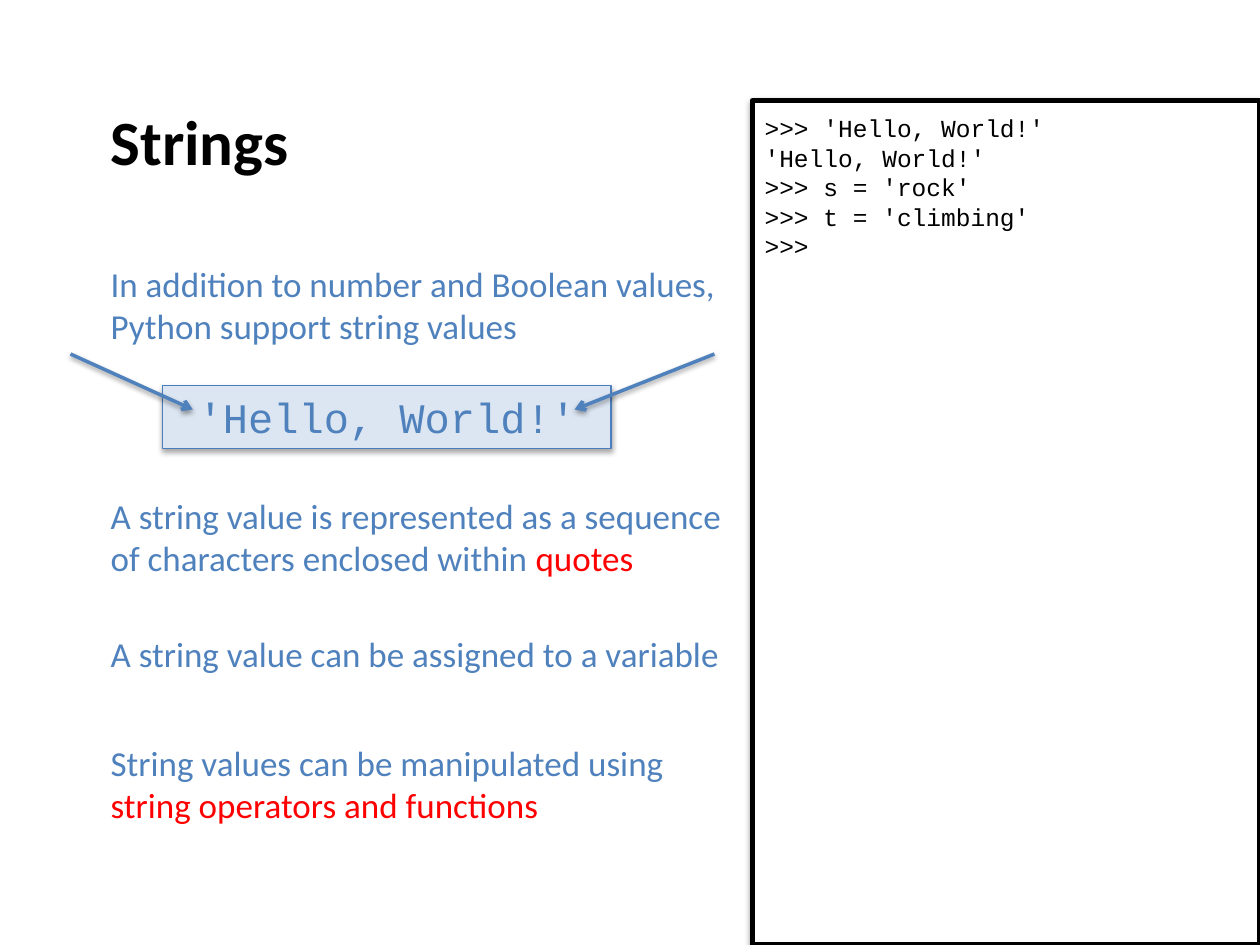
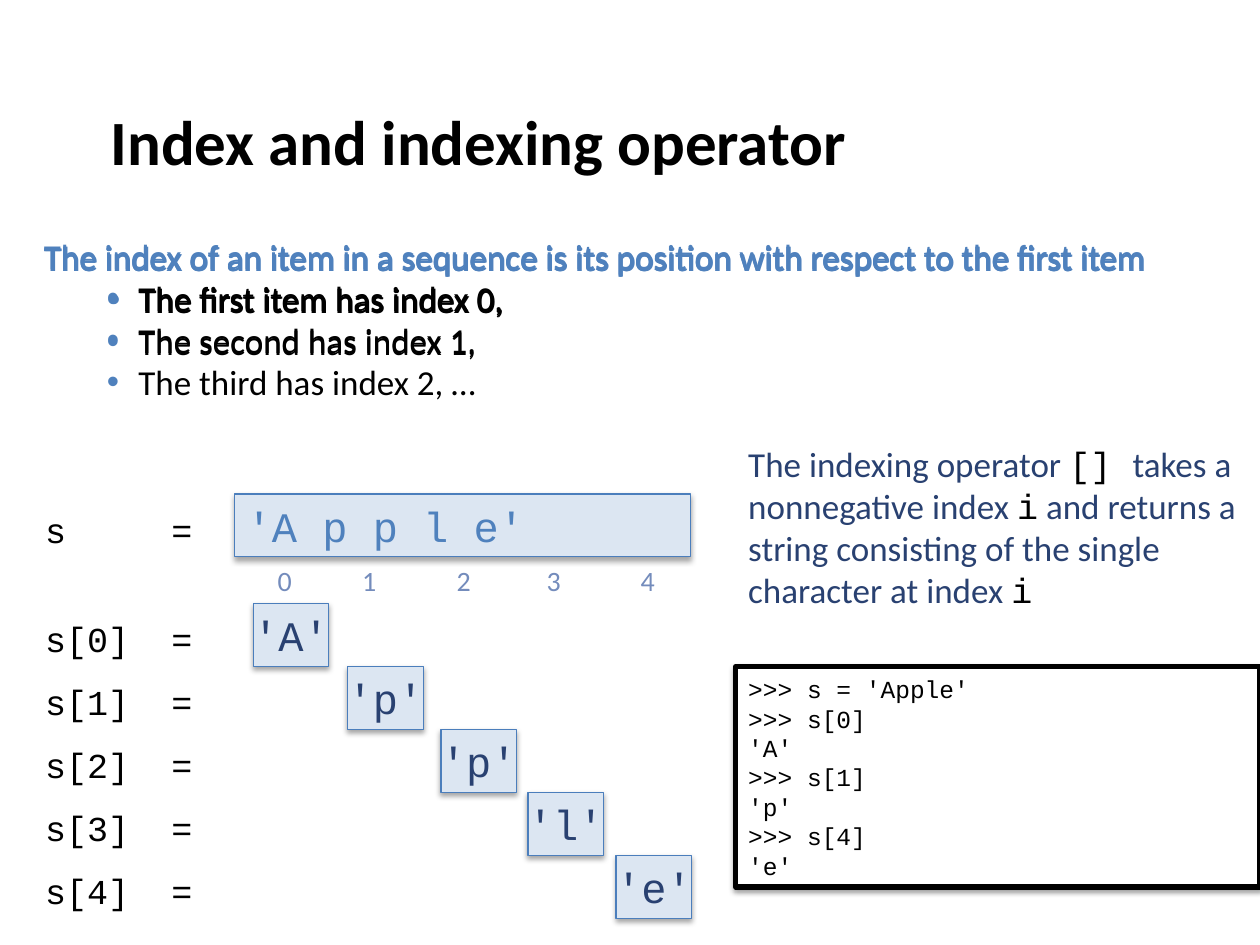
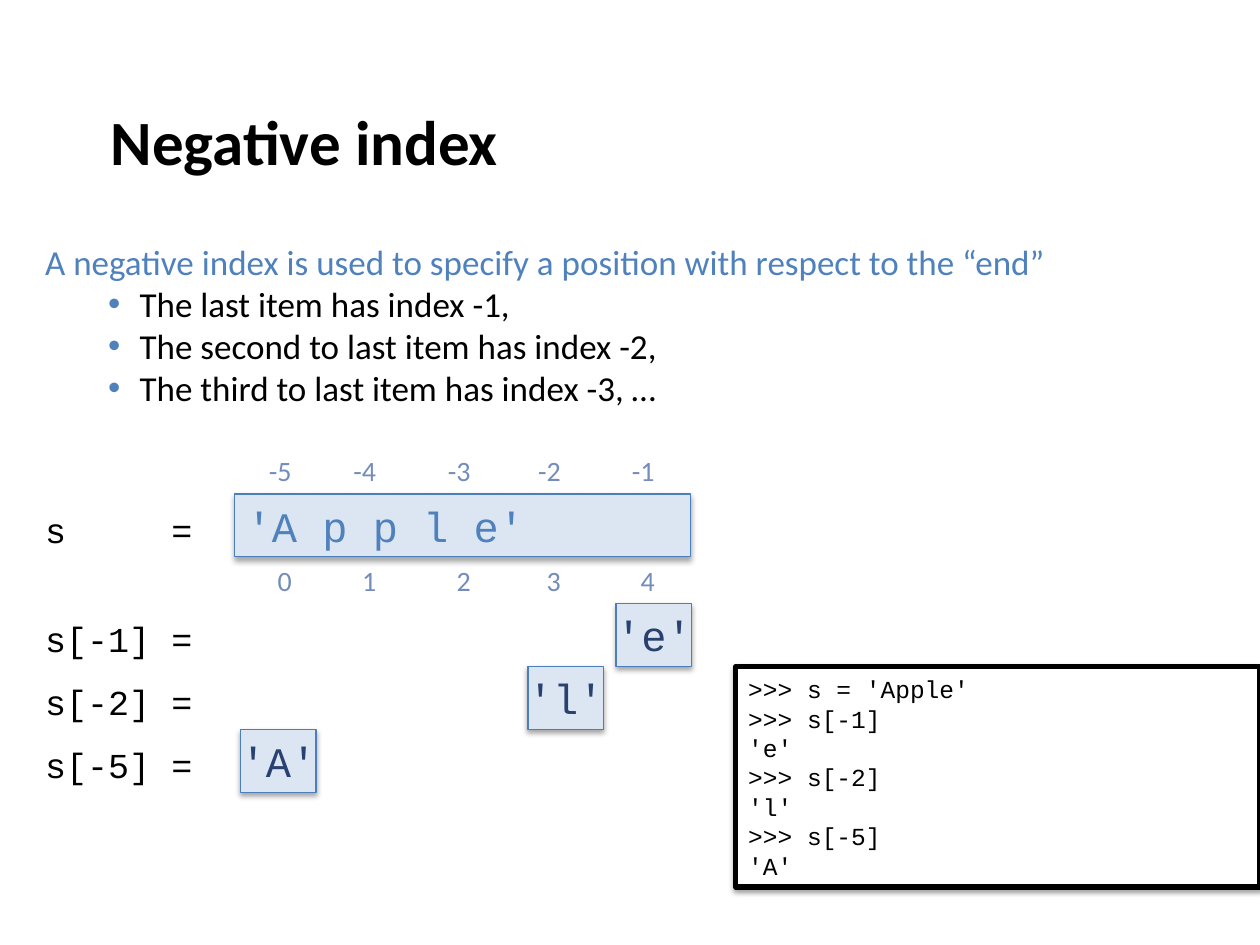
from dataclasses import dataclass
from typing import NamedTuple

from lxml import etree
from pptx import Presentation
from pptx import util as u
from pptx.dml.color import RGBColor
from pptx.enum import shapes, text
from pptx.oxml.ns import qn

COLORS = {
    "black": "000000",
    "white": "FFFFFF",
    "blue": "4F81BD",
    "edge": "4B7EBC",
    "tile": "DCE6F2",
    "navy": "294171",
    "index": "748CBC",
    "red": "FF0000",
}
SANS, MONO = "Calibri", "Courier New"
COLUMNS, ROWS = 100, 75
SLIDE_WIDTH, SLIDE_HEIGHT = u.Inches(10), u.Inches(7.5)

WORD = "Apple"
WORD_TOP = 39.2
LOOKUP_TOP = 47.9
LOOKUP_PITCH = 5
TILE_WIDTH, TILE_HEIGHT = 6, 5


class Box(NamedTuple):
    """A place on the grid, in columns and rows."""
    left: float
    top: float
    width: float
    height: float


class Run(NamedTuple):
    text: str
    color: str | None = None
    font: str | None = None


@dataclass
class Paragraph:
    runs: list[Run]
    bullet: bool = False


@dataclass
class Slot:
    """Where one letter of the word has its index and its tile."""
    index_left: float
    index_width: float
    tile_left: float


@dataclass
class Lookup:
    index: int
    shift: float = 0


SLOTS = [
    Slot(20.1, 5, 20.1),
    Slot(26.1, 6.4, 27.6),
    Slot(33.6, 6.4, 35),
    Slot(41, 5.9, 41.9),
    Slot(48.9, 5, 48.9),
]
LOOKUP_CONSOLE = Box(58.4, 52.9, 41.6, 17.5)


def across(columns: float) -> int:
    return round(SLIDE_WIDTH * columns / COLUMNS)


def down(rows: float) -> int:
    return round(SLIDE_HEIGHT * rows / ROWS)


def place(box: Box) -> tuple[int, int, int, int]:
    return across(box.left), down(box.top), across(box.width), down(box.height)


def rgb(name: str) -> RGBColor:
    return RGBColor.from_string(COLORS[name])


def plain(*lines: str) -> list[Paragraph]:
    return [Paragraph([Run(line)]) for line in lines]


def bulleted(heading: str, items: list[str]) -> list[Paragraph]:
    return plain(heading) + [Paragraph([Run(item, "black")], True) for item in items]


def add_bullet(paragraph) -> None:
    properties = paragraph._p.get_or_add_pPr()
    properties.set("marL", str(u.Inches(0.75)))
    properties.set("indent", str(-u.Inches(0.25)))
    color = etree.SubElement(properties, qn("a:buClr"))
    etree.SubElement(color, qn("a:srgbClr"), val=COLORS["blue"])
    etree.SubElement(properties, qn("a:buFont"), typeface="Arial")
    etree.SubElement(properties, qn("a:buChar"), char="•")


def write(shape, paragraphs: list[Paragraph], *, size: float = 20, color: str = "blue",
          font: str = SANS, bold: bool = False, align=text.PP_ALIGN.LEFT,
          anchor=text.MSO_ANCHOR.MIDDLE, wrap: bool = True,
          top_inset: float = 0.05, bottom_inset: float = 0.05) -> None:
    frame = shape.text_frame
    frame.word_wrap = wrap
    frame.vertical_anchor = anchor
    frame.margin_top, frame.margin_bottom = u.Inches(top_inset), u.Inches(bottom_inset)
    for number, content in enumerate(paragraphs):
        paragraph = frame.add_paragraph() if number else frame.paragraphs[0]
        paragraph.alignment = align
        if content.bullet:
            add_bullet(paragraph)
        for part in content.runs:
            run = paragraph.add_run()
            run.text = part.text
            run.font.size = u.Pt(size)
            run.font.bold = bold
            run.font.name = part.font or font
            run.font.color.rgb = rgb(part.color or color)


def add_text(slide, box: Box, paragraphs: list[Paragraph], **style) -> None:
    write(slide.shapes.add_textbox(*place(box)), paragraphs, **style)


def add_shadow(shape, opacity: int, distance: float) -> None:
    """Call after fill and line are set, so that the effect comes last."""
    effects = etree.SubElement(shape._element.spPr, qn("a:effectLst"))
    shadow = etree.SubElement(effects, qn("a:outerShdw"), blurRad=str(u.Pt(3.1)),
                              dist=str(u.Pt(distance)), dir="5400000", rotWithShape="0")
    color = etree.SubElement(shadow, qn("a:srgbClr"), val=COLORS["black"])
    etree.SubElement(color, qn("a:alpha"), val=str(opacity * 1000))


def add_panel(slide, box: Box, fill: str, edge: str, weight: float,
              opacity: int, distance: float):
    panel = slide.shapes.add_shape(shapes.MSO_SHAPE.RECTANGLE, *place(box))
    panel.fill.solid()
    panel.fill.fore_color.rgb = rgb(fill)
    panel.line.color.rgb = rgb(edge)
    panel.line.width = u.Pt(weight)
    add_shadow(panel, opacity, distance)
    return panel


def add_tile(slide, box: Box, value: str, **style) -> None:
    tile = add_panel(slide, box, "tile", "edge", 0.75, 35, 1.8)
    write(tile, plain(value), size=24, font=MONO, **style)


def add_console(slide, box: Box, lines: list[str], top_inset: float) -> None:
    console = add_panel(slide, box, "white", "black", 3, 38, 1.6)
    write(console, plain(*lines), size=14, font=MONO, color="black",
          anchor=text.MSO_ANCHOR.TOP, top_inset=top_inset)


def add_arrow(slide, start: tuple[float, float], end: tuple[float, float]) -> None:
    arrow = slide.shapes.add_connector(
        shapes.MSO_CONNECTOR.STRAIGHT,
        across(start[0]), down(start[1]), across(end[0]), down(end[1]))
    arrow.line.color.rgb = rgb("blue")
    arrow.line.width = u.Pt(2)
    etree.SubElement(arrow.line._get_or_add_ln(), qn("a:tailEnd"), type="arrow")
    add_shadow(arrow, 38, 1.6)


def add_titled_slide(presentation, title: str):
    slide = presentation.slides.add_slide(presentation.slide_layouts[6])
    add_text(slide, Box(7.8, 0, 85, 16.1), plain(title), size=36, bold=True,
             color="black", anchor=text.MSO_ANCHOR.BOTTOM, bottom_inset=0.2)
    return slide


def add_code_label(slide, name: str, top: float) -> None:
    add_text(slide, Box(2.6, top, 13.8, 4.4), plain(f"{name:<6}="),
             font=MONO, color="black", wrap=False)


def add_indexes(slide, top: float, first: int, shift: float = 0) -> None:
    for number, slot in enumerate(SLOTS, first):
        add_text(slide, Box(slot.index_left + shift, top, slot.index_width, 3.7),
                 plain(str(number)), size=16, color="index",
                 align=text.PP_ALIGN.CENTER)


def add_word_lookups(slide, lookups: list[Lookup]) -> None:
    """The word with its indexes, and below it one row for each lookup."""
    add_code_label(slide, "s", WORD_TOP + 0.6)
    add_tile(slide, Box(18.6, WORD_TOP, 36.2, TILE_HEIGHT), f"'{' '.join(WORD)}'",
             align=text.PP_ALIGN.JUSTIFY)
    add_indexes(slide, 44.2, 0)
    for row, lookup in enumerate(lookups):
        top = LOOKUP_TOP + row * LOOKUP_PITCH
        left = SLOTS[lookup.index].tile_left + lookup.shift
        add_code_label(slide, f"s[{lookup.index}]", top + 0.6)
        add_tile(slide, Box(left, top, TILE_WIDTH, TILE_HEIGHT),
                 f"'{WORD[lookup.index]}'", color="navy",
                 align=text.PP_ALIGN.CENTER, wrap=False)


def add_lookup_console(slide, indexes: list[int]) -> None:
    lines = [f">>> s = '{WORD}'"]
    for index in indexes:
        lines += [f">>> s[{index}]", f"'{WORD[index]}'"]
    add_console(slide, LOOKUP_CONSOLE, lines, top_inset=0.06)


def add_strings_slide(presentation) -> None:
    slide = add_titled_slide(presentation, "Strings")
    add_text(slide, Box(7.8, 20.3, 57.7, 7.7), plain(
        "In addition to number and Boolean values, Python support string values"))
    statements = [
        (38.7, 7.7, [Run("A string value is represented as a sequence of characters "
                         "enclosed within "), Run("quotes", "red")]),
        (49.7, 4.4, [Run("A string value can be assigned to a variable")]),
        (58.3, 7.7, [Run("String values can be manipulated using "),
                     Run("string operators and functions", "red")]),
    ]
    for top, height, runs in statements:
        add_text(slide, Box(7.8, top, 52, height), [Paragraph(runs)])
    add_tile(slide, Box(12.9, 30.6, 35.6, TILE_HEIGHT), "'Hello, World!'",
             align=text.PP_ALIGN.CENTER)
    for start, end in ((56.7, 45.6), (5.6, 15.3)):
        add_arrow(slide, (start, 28.1), (end, 32.5))
    add_console(slide, Box(59.7, 8, 40.3, 67), [
        ">>> 'Hello, World!'",
        "'Hello, World!'",
        ">>> s = 'rock'",
        ">>> t = 'climbing'",
        ">>>",
    ], top_inset=0.1)


def add_index_slide(presentation) -> None:
    slide = add_titled_slide(presentation, "Index and indexing operator")
    rule = bulleted(
        "The index of an item in a sequence is its position with respect to the first item",
        ["The first item has index 0,", "The second has index 1,",
         "The third has index 2, …"])
    reveal_corners = [(2.5, 18.3), (2.6, 18.3), (2.5, 18.3), (2.5, 18.1)]
    for shown, (left, top) in enumerate(reveal_corners, 1):
        add_text(slide, Box(left, top, 92.7, 14.5), rule[:shown],
                 anchor=text.MSO_ANCHOR.TOP)
    add_word_lookups(slide, [Lookup(index) for index in range(len(WORD))])
    add_text(slide, Box(58.4, 34.5, 41.7, 14.5), [Paragraph([
        Run("The indexing operator "),
        Run("[] ", "black", MONO),
        Run("takes a nonnegative index "),
        Run("i", "black", MONO),
        Run(" and returns a string consisting of the single character at index "),
        Run("i", "black", MONO),
    ])], color="navy")
    add_lookup_console(slide, [0, 1, 4])


def add_negative_index_slide(presentation) -> None:
    slide = add_titled_slide(presentation, "Negative index")
    add_text(slide, Box(2.6, 18.5, 92.7, 14.5), bulleted(
        "A negative index is used to specify a position with respect to the “end”",
        ["The last item has index -1,", "The second to last item has index -2,",
         "The third to last item has index -3, …"]))
    add_indexes(slide, 35.5, -len(WORD), shift=-0.35)
    lookups = [Lookup(-1), Lookup(-2), Lookup(-5, shift=-1)]
    add_word_lookups(slide, lookups)
    add_lookup_console(slide, [lookup.index for lookup in lookups])


def main() -> None:
    presentation = Presentation()
    presentation.slide_width, presentation.slide_height = SLIDE_WIDTH, SLIDE_HEIGHT
    add_strings_slide(presentation)
    add_index_slide(presentation)
    add_negative_index_slide(presentation)
    presentation.save("out.pptx")


if __name__ == "__main__":
    main()
